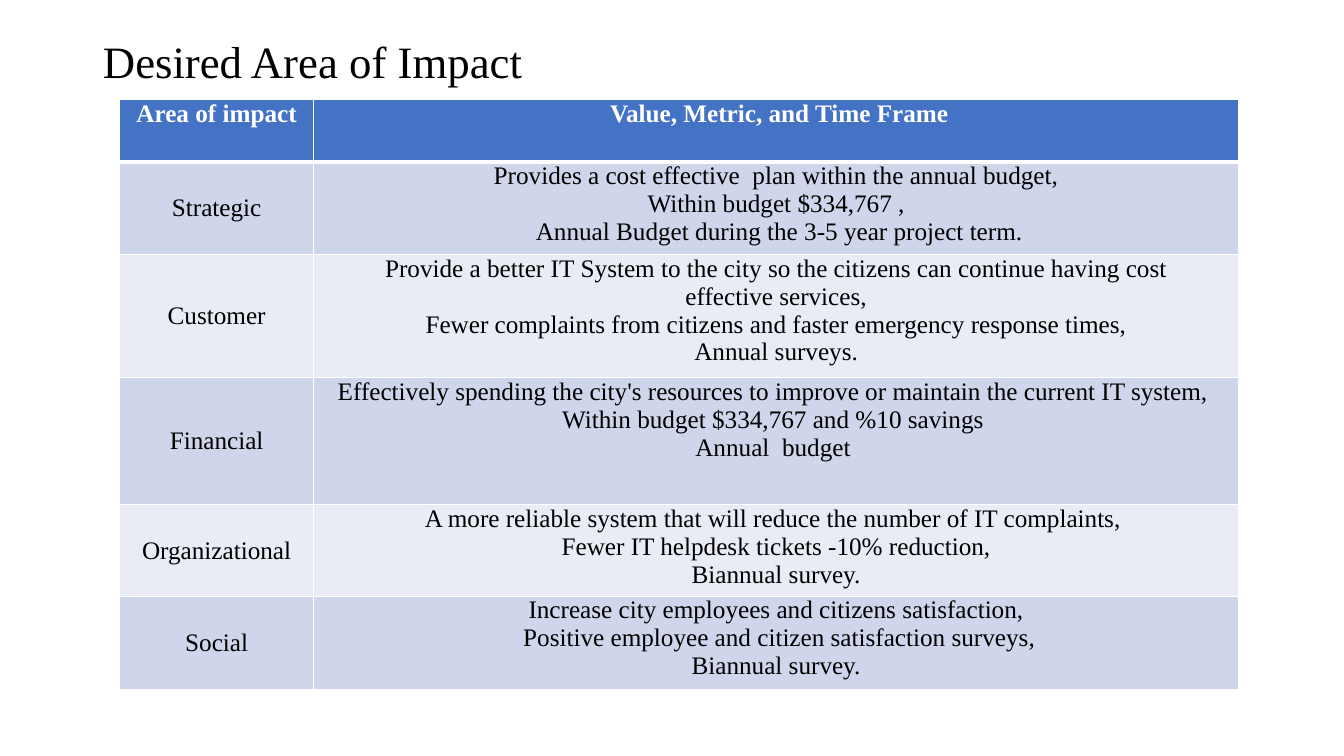
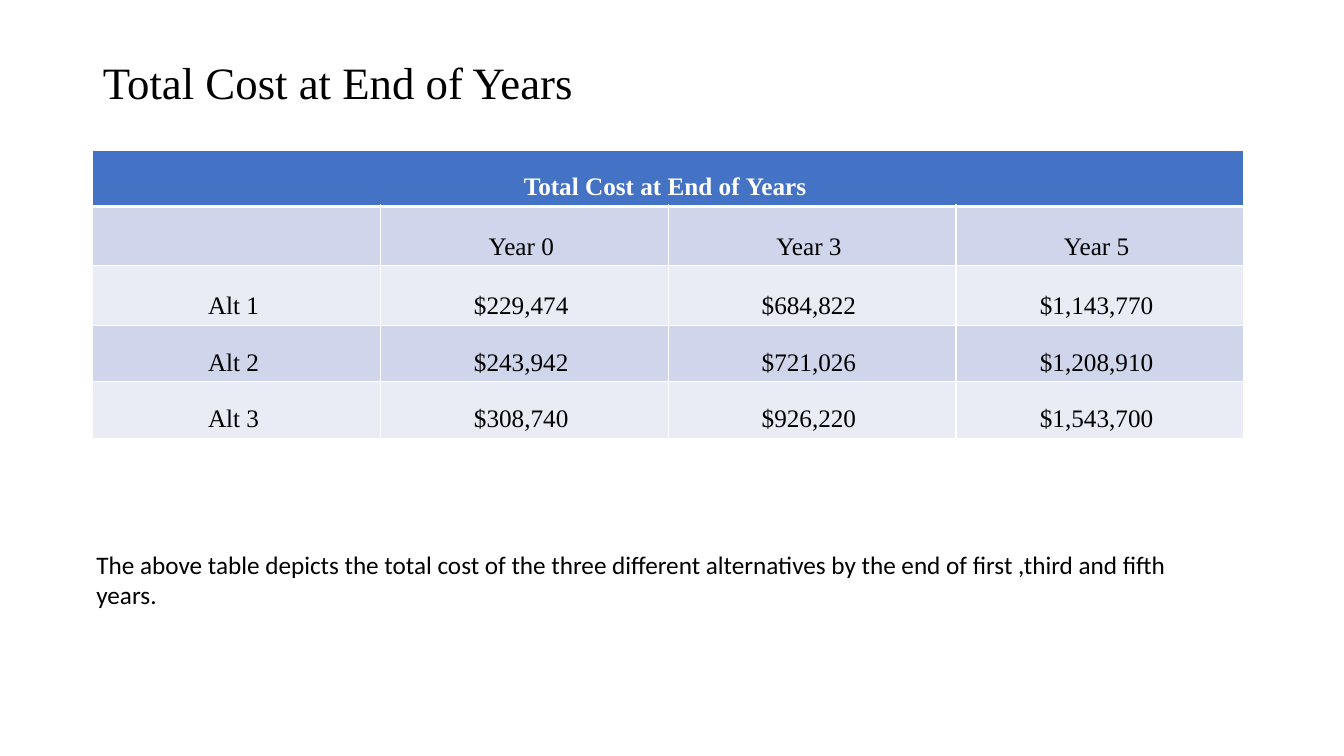
"""Build two slides that show the areas of impact and the total cost by year."""
from lxml.etree import SubElement
from pptx import Presentation
from pptx.dml.color import RGBColor
from pptx.enum.text import MSO_ANCHOR, MSO_AUTO_SIZE, PP_ALIGN
from pptx.oxml.ns import qn
from pptx.util import Cm, Pt

WHITE, BLACK, HEADER = "FFFFFF", "000000", "4472C4"
BANDS = ["E9EBF5", "CFD5EA"]
SERIF = "Times New Roman"
TITLE_FORMAT = {"name": SERIF, "size": Pt(32), "bold": False}
CELL_FORMAT = {"name": SERIF, "size": Pt(18), "bold": False}
HEADER_FORMAT = CELL_FORMAT | {"bold": True}
NOTE_FORMAT = {"name": "Calibri", "size": Pt(18), "bold": False}


def colour(value):
    """Turn a hex string into a colour."""
    return RGBColor.from_string(value)


def write_text(text_frame, text, font_format, font_colour, alignment, line_spacing=1.0):
    """Fill a text frame and format all its paragraphs."""
    text_frame.text = text
    text_frame.word_wrap = True
    for paragraph in text_frame.paragraphs:
        paragraph.alignment = alignment
        paragraph.line_spacing = line_spacing
        for run in paragraph.runs:
            for name, value in font_format.items():
                setattr(run.font, name, value)
            run.font.color.rgb = colour(font_colour)


impact = {
    "title": "Desired Area of Impact",
    "title_height": 1.19,
    "position": (3.02, 2.51),
    "columns": [4.88, 23.32],
    "row_heights": [1.57, 2.34, 3.1, 3.2, 2.31, 2.34],
    "anchors": {"header": MSO_ANCHOR.TOP, "label": MSO_ANCHOR.MIDDLE, "value": MSO_ANCHOR.TOP},
    "margins": {"margin_left": Cm(0.18), "margin_right": Cm(0.18), "margin_top": 0, "margin_bottom": 0},
    "rows": [
        ["Area of impact", "\u00a0Value, Metric, and Time Frame"],
        ["Strategic",
         "Provides a cost effective\u00a0 plan within the annual budget,\n"
         "Within budget $334,767 ,\n"
         "\u00a0Annual Budget during the\u00a03-5 year project term."],
        ["Customer",
         "Provide\u00a0a\u00a0better\u00a0IT\u00a0System\u00a0to\u00a0the\u00a0city\u00a0so the citizens "
         "can continue\u00a0having\u00a0cost effective\u00a0services,\n"
         "Fewer complaints from citizens and faster emergency response times,\n"
         "Annual surveys."],
        ["Financial",
         "Effectively spending\u00a0the city's resources to improve or maintain "
         "the current IT system,\u00a0\n"
         "Within budget\u00a0$334,767 and\u00a0%10 savings\u00a0\n"
         "Annual\u00a0 budget\u00a0"],
        ["Organizational",
         "A more reliable system that will reduce the number of IT complaints,\u00a0\n"
         "Fewer IT helpdesk tickets -10% reduction,\n"
         "Biannual survey."],
        ["Social",
         "Increase city employees and citizens satisfaction,\n"
         "\u00a0Positive employee and citizen satisfaction surveys,\n"
         "Biannual survey."],
    ],
}
cost = {
    "title": "Total Cost at End of Years",
    "title_height": 2.26,
    "position": (2.34, 3.78),
    "columns": [7.25] * 4,
    "row_heights": [1.42, 1.5, 1.5, 1.42, 1.42],
    "anchors": dict.fromkeys(["header", "label", "value"], MSO_ANCHOR.BOTTOM),
    "margins": {},
    "rows": [
        ["Total Cost\u00a0at\u00a0End\u00a0of\u00a0Years\u00a0"],
        ["", "Year 0\u00a0", "Year 3\u00a0", "Year 5\u00a0"],
        ["Alt 1\u00a0", "$229,474\u00a0", "$684,822\u00a0", "$1,143,770\u00a0"],
        ["Alt 2\u00a0", "$243,942\u00a0", "$721,026\u00a0", "$1,208,910\u00a0"],
        ["Alt 3\u00a0", "$308,740\u00a0", "$926,220\u00a0", "$1,543,700\u00a0"],
    ],
    "note": "The above table depicts the total cost of the three different alternatives "
            "by the end of first ,third and fifth years.\u00a0",
}

presentation = Presentation()
presentation.slide_width, presentation.slide_height = Cm(33.87), Cm(19.05)

for content in [impact, cost]:
    slide = presentation.slides.add_slide(presentation.slide_layouts[5])
    title = slide.shapes.title
    title.left, title.top = Cm(2.34), Cm(1.02)
    title.width, title.height = Cm(29.21), Cm(content["title_height"])
    write_text(title.text_frame, content["title"], TITLE_FORMAT, BLACK, PP_ALIGN.LEFT, 0.9)
    title.text_frame.auto_size = MSO_AUTO_SIZE.NONE
    title.text_frame.vertical_anchor = MSO_ANCHOR.MIDDLE

    columns, heights = content["columns"], content["row_heights"]
    left, top = content["position"]
    table = slide.shapes.add_table(
        len(heights), len(columns), Cm(left), Cm(top), Cm(sum(columns)), Cm(sum(heights))
    ).table
    for column, width in zip(table.columns, columns):
        column.width = Cm(width)
    for row, height in zip(table.rows, heights):
        row.height = Cm(height)

    for row_index, texts in enumerate(content["rows"]):
        is_header = row_index == 0
        if len(texts) < len(columns):
            table.cell(row_index, 0).merge(table.cell(row_index, len(columns) - 1))
        for column_index in range(len(columns)):
            cell = table.cell(row_index, column_index)
            borders = {"L": 1, "R": 1, "T": 3 if row_index == 1 else 1, "B": 3 if is_header else 1}
            for side, points in borders.items():
                line = SubElement(cell._tc.get_or_add_tcPr(), qn(f"a:ln{side}"), w=str(Pt(points)))
                SubElement(SubElement(line, qn("a:solidFill")), qn("a:srgbClr"), val=WHITE)
            cell.fill.solid()
            cell.fill.fore_color.rgb = colour(HEADER if is_header else BANDS[row_index % 2])
            if column_index >= len(texts):
                continue
            part = "header" if is_header else "value" if column_index else "label"
            cell.vertical_anchor = content["anchors"][part]
            for name, value in content["margins"].items():
                setattr(cell, name, value)
            write_text(cell.text_frame, texts[column_index], HEADER_FORMAT if is_header else CELL_FORMAT,
                       WHITE if is_header else BLACK, PP_ALIGN.CENTER)

    if "note" in content:
        note = slide.shapes.add_textbox(Cm(2.18), Cm(13.72), Cm(29.08), Cm(1.8))
        write_text(note.text_frame, content["note"], NOTE_FORMAT, BLACK, PP_ALIGN.LEFT)

presentation.save("out.pptx")
